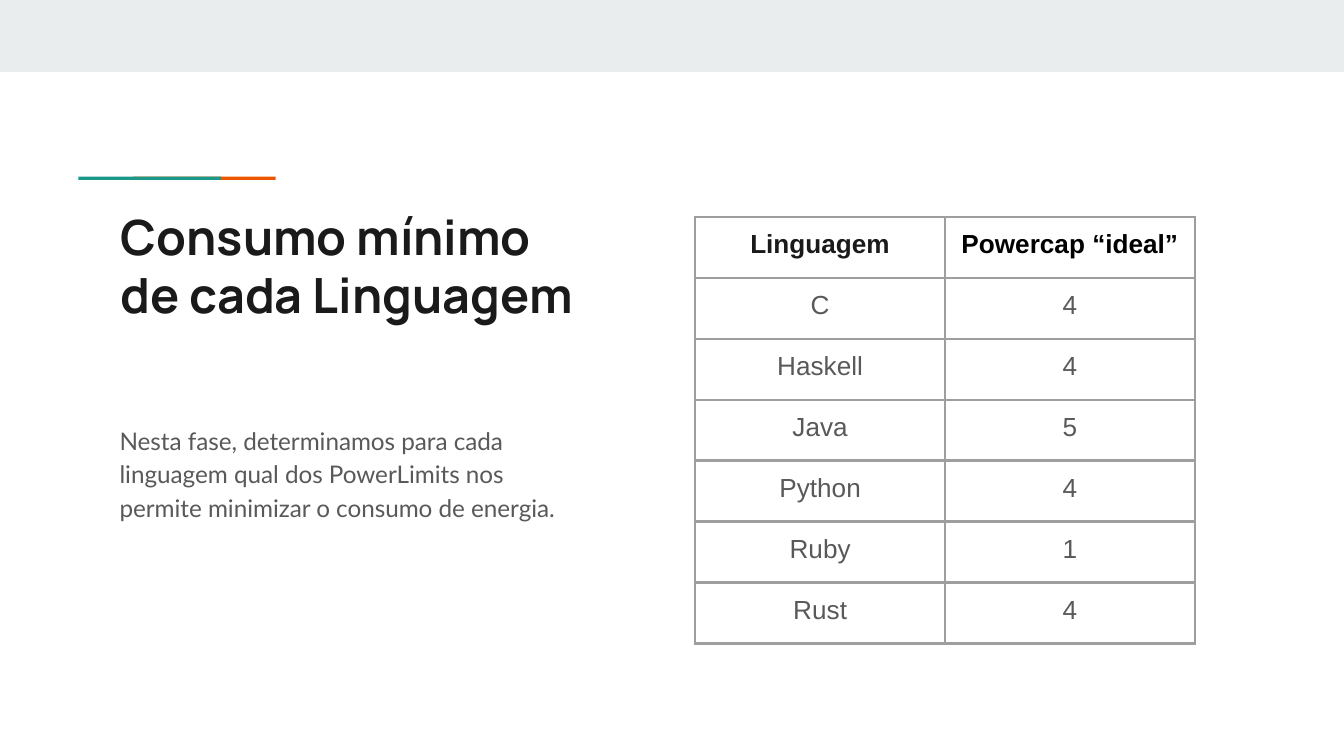
from dataclasses import dataclass

from lxml import etree
from pptx import Presentation
from pptx.dml.color import RGBColor
from pptx.enum.shapes import MSO_SHAPE
from pptx.enum.text import MSO_ANCHOR, MSO_AUTO_SIZE, PP_ALIGN
from pptx.oxml.ns import qn
from pptx.util import Cm, Pt

RECTANGLE = MSO_SHAPE.RECTANGLE
TOP = MSO_ANCHOR.TOP
NO_AUTOFIT = MSO_AUTO_SIZE.NONE
LEFT, CENTER = PP_ALIGN.LEFT, PP_ALIGN.CENTER

COLORS = {
    "white": "FFFFFF",
    "band": "E9EDEE",
    "teal": "1A9988",
    "orange": "EB5600",
    "heading": "1A1A1A",
    "black": "000000",
    "body": "595959",
    "border": "9E9E9E",
}
INSET = Cm(0.25)
BORDER_WIDTH = Pt(1.5)
TABLE_WIDTH, TABLE_HEIGHT = Cm(9.44), Cm(8.07)


@dataclass(frozen=True)
class Bar:
    """A plain coloured strip, measured in centimetres."""
    left: float
    top: float
    width: float
    height: float
    color: str


@dataclass(frozen=True)
class PowercapResult:
    language: str
    powercap: int


# The teal strip lies over the left part of the orange one
BARS = [
    Bar(0, 0, 25.4, 1.36, "band"),
    Bar(2.51, 3.34, 2.7, 0.06, "orange"),
    Bar(1.48, 3.34, 2.7, 0.06, "teal"),
]
RESULTS = [
    PowercapResult("C", 4),
    PowercapResult("Haskell", 4),
    PowercapResult("Java", 5),
    PowercapResult("Python", 4),
    PowercapResult("Ruby", 1),
    PowercapResult("Rust", 4),
]


def rgb(color: str) -> RGBColor:
    return RGBColor.from_string(COLORS[color])


def write_text(frame, text: str, *, font: str, size: float, color: str,
               bold: bool = False, align=LEFT, line_spacing: float = 1.0,
               space_after: float = 0) -> None:
    frame.word_wrap = True
    paragraph = frame.paragraphs[0]
    paragraph.alignment = align
    paragraph.line_spacing = line_spacing
    paragraph.space_before = Pt(0)
    paragraph.space_after = Pt(space_after)
    run = paragraph.add_run()
    run.text = text
    run.font.name = font
    run.font.size = Pt(size)
    run.font.bold = bold
    run.font.color.rgb = rgb(color)


def set_insets(box) -> None:
    box.margin_left = box.margin_right = INSET
    box.margin_top = box.margin_bottom = INSET
    box.vertical_anchor = TOP


def place(placeholder, left: float, top: float, width: float, height: float) -> None:
    placeholder.left, placeholder.top = Cm(left), Cm(top)
    placeholder.width, placeholder.height = Cm(width), Cm(height)
    placeholder.text_frame.auto_size = NO_AUTOFIT
    set_insets(placeholder.text_frame)


def remove_bullet(paragraph) -> None:
    properties = paragraph._p.get_or_add_pPr()
    properties.set("marL", "0")
    properties.set("indent", "0")
    etree.SubElement(properties, qn("a:buNone"))


def draw_bar(slide, bar: Bar) -> None:
    strip = slide.shapes.add_shape(
        RECTANGLE, Cm(bar.left), Cm(bar.top), Cm(bar.width), Cm(bar.height))
    strip.shadow.inherit = False
    strip.fill.solid()
    strip.fill.fore_color.rgb = rgb(bar.color)
    strip.line.fill.background()


def add_borders(cell) -> None:
    properties = cell._tc.get_or_add_tcPr()
    for position, side in enumerate(("lnL", "lnR", "lnT", "lnB")):
        line = etree.Element(qn(f"a:{side}"), w=str(BORDER_WIDTH))
        fill = etree.SubElement(line, qn("a:solidFill"))
        etree.SubElement(fill, qn("a:srgbClr"), val=COLORS["border"])
        properties.insert(position, line)


def draw_cell(cell, text: str, color: str, header: bool) -> None:
    set_insets(cell)
    if header:
        cell.fill.solid()
        cell.fill.fore_color.rgb = rgb("white")
    else:
        cell.fill.background()
    add_borders(cell)
    write_text(cell.text_frame, text, font="Arial", size=14, color=color,
               bold=header, align=CENTER)


def draw_results(slide, results: list[PowercapResult]) -> None:
    # add_table shares the width and height equally among columns and rows
    table = slide.shapes.add_table(
        len(results) + 1, 2, Cm(13.14), Cm(4.1), TABLE_WIDTH, TABLE_HEIGHT).table
    table.first_row = table.horz_banding = False

    draw_cell(table.cell(0, 0), "Linguagem", "heading", True)
    draw_cell(table.cell(0, 1), "Powercap “ideal”", "black", True)
    for row_index, result in enumerate(results, start=1):
        draw_cell(table.cell(row_index, 0), result.language, "body", False)
        draw_cell(table.cell(row_index, 1), str(result.powercap), "body", False)


def main() -> None:
    presentation = Presentation()
    presentation.slide_width, presentation.slide_height = Cm(25.4), Cm(14.29)
    slide = presentation.slides.add_slide(presentation.slide_layouts[1])

    # Top band and accent line
    for bar in BARS:
        draw_bar(slide, bar)

    # Title
    title = slide.shapes.title
    place(title, 2.03, 3.66, 9.17, 3.84)
    write_text(title.text_frame, "Consumo mínimo de cada Linguagem",
               font="Manrope", size=26, color="heading", bold=True)

    # Explanation
    explanation = slide.placeholders[1]
    place(explanation, 2.01, 7.72, 9.17, 4.45)
    write_text(explanation.text_frame,
               "Nesta fase, determinamos para cada linguagem qual dos "
               "PowerLimits nos permite minimizar o consumo de energia.",
               font="Lato", size=13, color="body", line_spacing=1.15,
               space_after=12)
    remove_bullet(explanation.text_frame.paragraphs[0])

    # Best powercap per language
    draw_results(slide, RESULTS)

    presentation.save("out.pptx")


if __name__ == "__main__":
    main()
